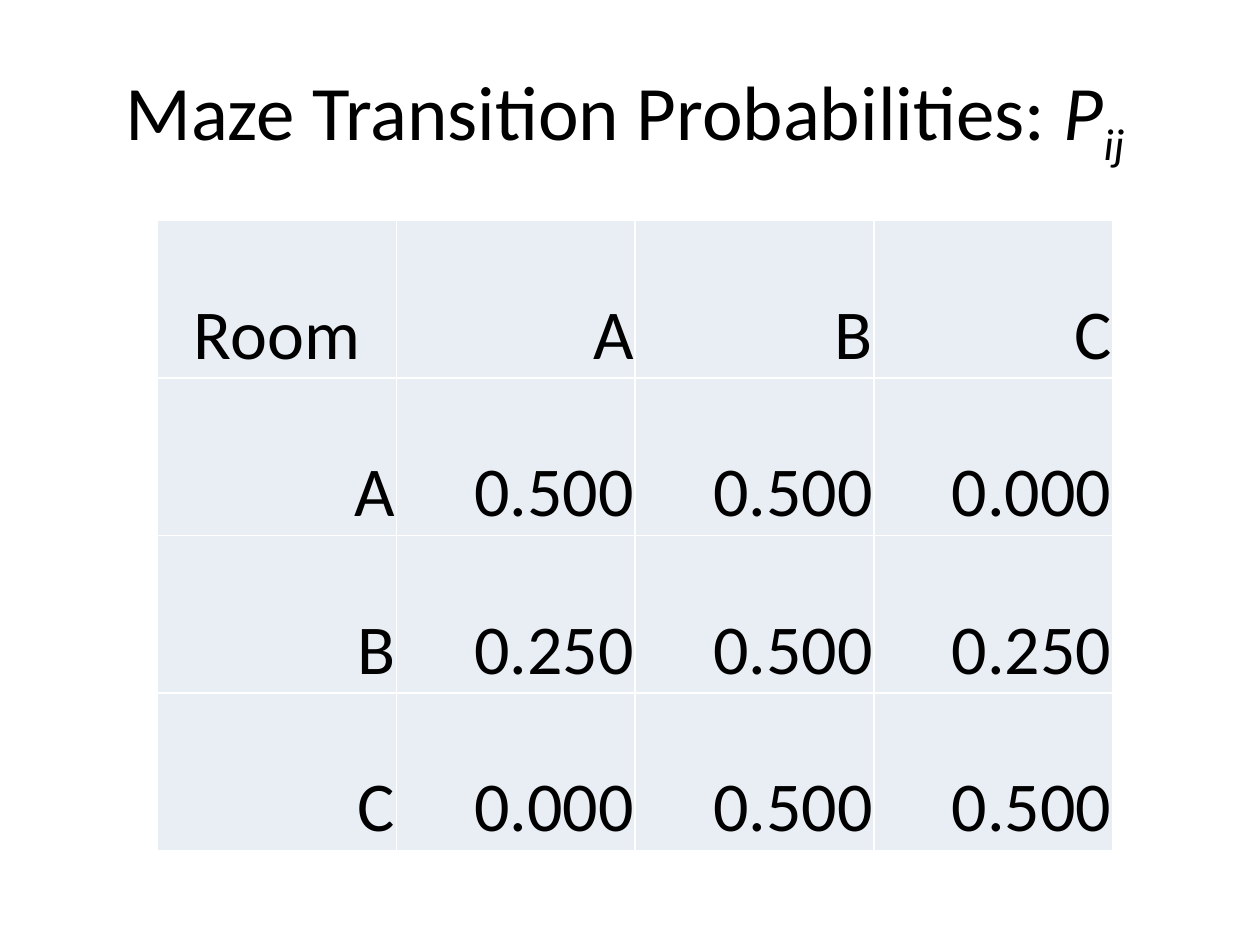
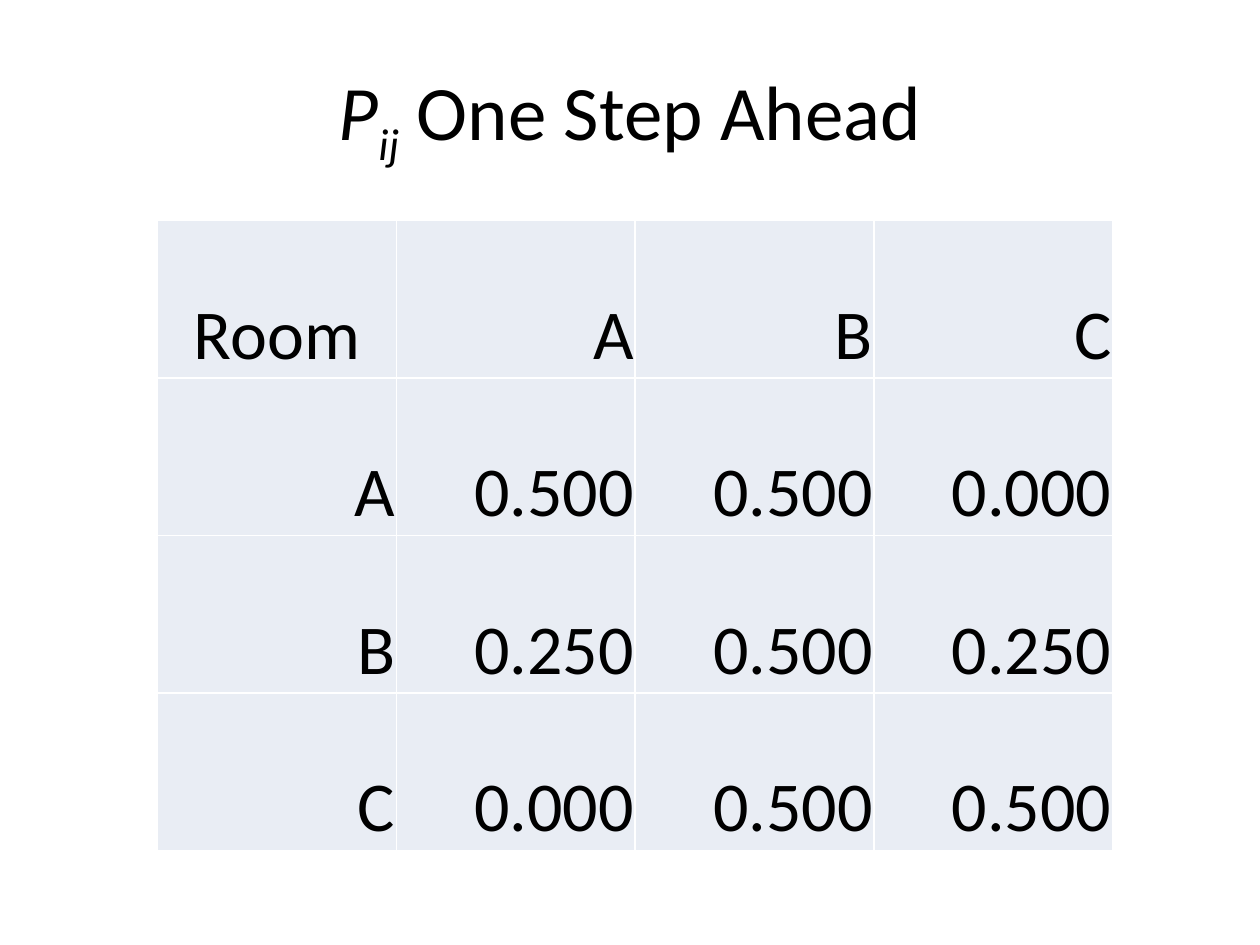
from lxml import etree
from pptx import Presentation
from pptx.dml.color import RGBColor
from pptx.enum.text import MSO_ANCHOR, PP_ALIGN
from pptx.oxml.ns import qn
from pptx.util import Inches, Pt

CENTER, RIGHT = PP_ALIGN.CENTER, PP_ALIGN.RIGHT
MIDDLE, BOTTOM = MSO_ANCHOR.MIDDLE, MSO_ANCHOR.BOTTOM
TITLE_ONLY = 5

COLORS = {"text": "000000", "cell": "E9EDF4", "border": "FFFFFF"}
FONT = "Calibri"
TITLE_SIZE, CELL_SIZE = 44, 40
BORDER_WIDTH = 1
SUBSCRIPT = "-25000"

# Transition probabilities, from row room to column room
ROOMS = ["A", "B", "C"]
PROBABILITIES = [
    [0.5, 0.5, 0],
    [0.25, 0.5, 0.25],
    [0, 0.5, 0.5],
]

# Title runs: text, italic, subscript
TITLES = [
    [("Maze Transition Probabilities: ", False, False),
     ("P", True, False), ("ij ", True, True)],
    [("P", True, False), ("ij", True, True),
     (" One Step Ahead", False, False)],
]


class SlideBuilder:
    def __init__(self, presentation):
        self.presentation = presentation
        self.slide = None

    def new_slide(self):
        layout = self.presentation.slide_layouts[TITLE_ONLY]
        self.slide = self.presentation.slides.add_slide(layout)

    def style_run(self, run, size):
        run.font.name = FONT
        run.font.size = Pt(size)
        run.font.color.rgb = RGBColor.from_string(COLORS["text"])

    def title(self, parts):
        shape = self.slide.shapes.title
        shape.left, shape.top = Inches(0.5), Inches(0.3)
        shape.width, shape.height = Inches(9), Inches(1.25)
        shape.text_frame.vertical_anchor = MIDDLE
        paragraph = shape.text_frame.paragraphs[0]
        paragraph.alignment = CENTER
        for text, italic, subscript in parts:
            run = paragraph.add_run()
            run.text = text
            self.style_run(run, TITLE_SIZE)
            run.font.italic = italic
            if subscript:
                run.font._element.set("baseline", SUBSCRIPT)

    def cell_borders(self, cell):
        properties = cell._tc.get_or_add_tcPr()
        for side in ("lnL", "lnR", "lnT", "lnB"):
            line = etree.SubElement(properties, qn(f"a:{side}"),
                                    w=str(Pt(BORDER_WIDTH)))
            fill = etree.SubElement(line, qn("a:solidFill"))
            etree.SubElement(fill, qn("a:srgbClr"), val=COLORS["border"])

    def cell(self, cell, text, alignment):
        self.cell_borders(cell)
        cell.fill.solid()
        cell.fill.fore_color.rgb = RGBColor.from_string(COLORS["cell"])
        cell.margin_left = cell.margin_right = cell.margin_top = Inches(0.01)
        cell.margin_bottom = 0
        cell.vertical_anchor = BOTTOM
        cell.text_frame.text = text
        paragraph = cell.text_frame.paragraphs[0]
        paragraph.alignment = alignment
        self.style_run(paragraph.runs[0], CELL_SIZE)

    def table(self, rows):
        frame = self.slide.shapes.add_table(
            len(rows), len(rows[0]),
            Inches(1.25), Inches(1.75), Inches(7.58), Inches(5))
        table = frame.table
        table.first_row = table.horz_banding = False
        for row_index, row in enumerate(rows):
            for column_index, text in enumerate(row):
                corner = row_index == column_index == 0
                self.cell(table.cell(row_index, column_index), text,
                          CENTER if corner else RIGHT)


def main():
    presentation = Presentation()
    presentation.slide_width = Inches(10)
    presentation.slide_height = Inches(7.5)
    builder = SlideBuilder(presentation)

    # Header row, then one row per room
    rows = [["Room"] + ROOMS]
    for room, values in zip(ROOMS, PROBABILITIES):
        rows.append([room] + [f"{value:.3f}" for value in values])

    # Both slides show the same matrix under their own title
    for parts in TITLES:
        builder.new_slide()
        builder.title(parts)
        builder.table(rows)

    presentation.save("out.pptx")


if __name__ == "__main__":
    main()
